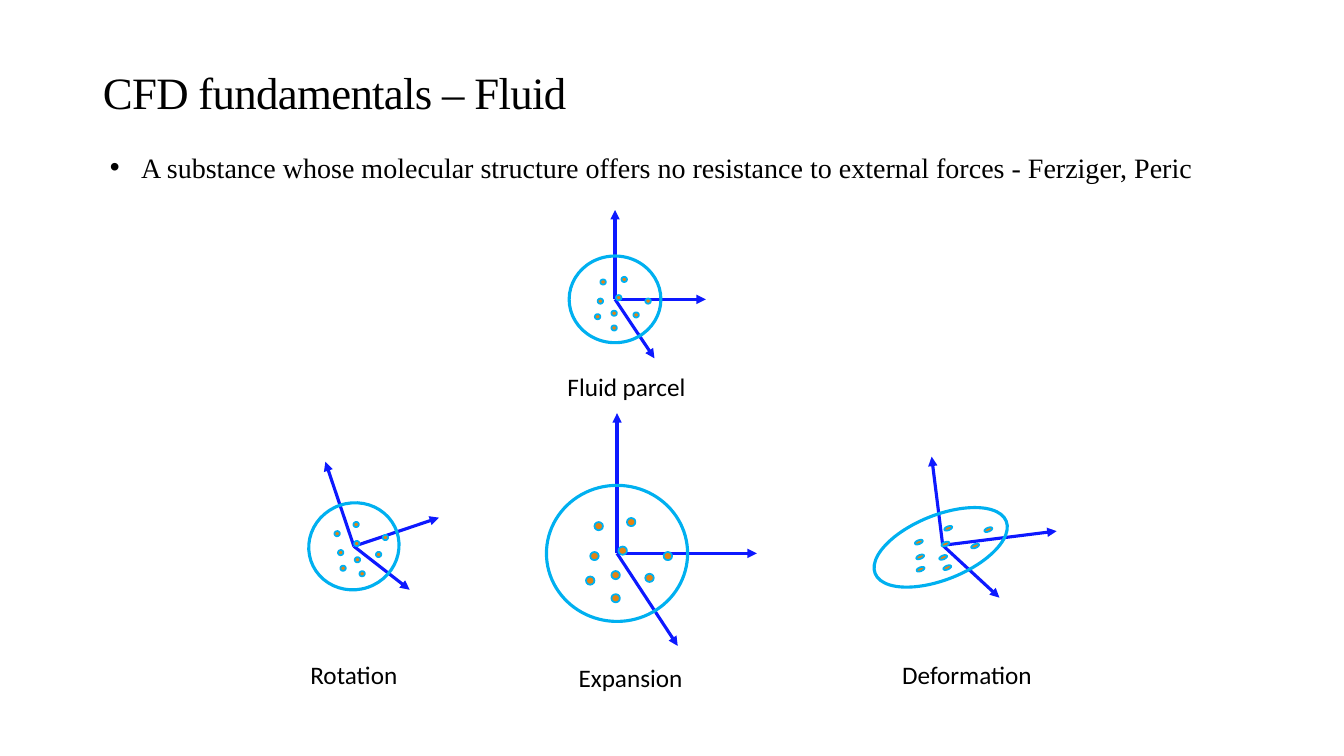
from dataclasses import dataclass
from math import cos, radians, sin

from lxml.etree import SubElement
from pptx import Presentation
from pptx.dml.color import RGBColor
from pptx.enum.shapes import MSO_CONNECTOR, MSO_SHAPE
from pptx.enum.text import MSO_ANCHOR, MSO_AUTO_SIZE, PP_ALIGN
from pptx.oxml.ns import qn
from pptx.util import Inches, Pt

BLACK = RGBColor(0x00, 0x00, 0x00)
AXIS_BLUE = RGBColor(0x0D, 0x19, 0xFF)
OUTLINE_BLUE = RGBColor(0x00, 0xB0, 0xF0)
MOLECULE_ORANGE = RGBColor(0xE4, 0x83, 0x12)

SERIF = "Times New Roman"
SANS = "Calibri"

# Offsets from the parcel centre, as shares of the parcel's width and height
AXIS_TIPS = [(0.99, 0), (0, -1.03), (0.43, 0.68)]
MOLECULES = [
    (-0.13, -0.20), (0.04, -0.02), (0.23, 0.18),
    (-0.19, 0.20), (-0.16, 0.02), (0.10, -0.23),
    (-0.01, 0.16), (0.36, 0.02), (-0.01, 0.33),
]
MOLECULE_SHARE = 0.06


@dataclass
class Frame:
    """A turned box: centre and size in inches, angle in degrees clockwise."""
    x: float
    y: float
    width: float
    height: float
    angle: float = 0

    def point(self, across, down):
        """Slide position of an offset given as shares of the frame's size."""
        turn = radians(self.angle)
        dx, dy = across * self.width, down * self.height
        return (self.x + dx * cos(turn) - dy * sin(turn),
                self.y + dx * sin(turn) + dy * cos(turn))


@dataclass
class Parcel:
    name: str
    label_box: tuple
    body: Frame
    axes: Frame


PARCELS = [
    Parcel("Fluid parcel", (5.53, 3.63, 1.39, 0.4),
           Frame(6.1, 2.97, 0.91, 0.86), Frame(6.1, 2.97, 0.91, 0.86)),
    Parcel("Rotation", (2.98, 6.49, 1.07, 0.4),
           Frame(3.51, 5.42, 0.9, 0.86, -18.6), Frame(3.51, 5.42, 0.9, 0.86, -18.6)),
    Parcel("Expansion", (5.64, 6.52, 1.24, 0.4),
           Frame(6.12, 5.49, 1.4, 1.35), Frame(6.12, 5.49, 1.4, 1.35)),
    Parcel("Deformation", (8.85, 6.49, 1.5, 0.4),
           Frame(9.33, 5.43, 1.4, 0.64, -21.8), Frame(9.35, 5.41, 1.15, 0.86, -7.1)),
]


def place(shape, box):
    shape.left, shape.top, shape.width, shape.height = map(Inches, box)


def style_run(paragraph, size, font_name):
    font = paragraph.runs[0].font
    font.size = Pt(size)
    font.name = font_name
    font.color.rgb = BLACK
    return font


def add_title(slide, box, text):
    title = slide.shapes.title
    place(title, box)
    frame = title.text_frame
    frame.text = text
    frame.auto_size = MSO_AUTO_SIZE.NONE
    frame.vertical_anchor = MSO_ANCHOR.BOTTOM
    paragraph = frame.paragraphs[0]
    paragraph.alignment = PP_ALIGN.LEFT
    paragraph.line_spacing = 0.85
    style_run(paragraph, 32, SERIF)
    paragraph.runs[0].font._element.set("spc", "-50")


def add_definition(slide, box, text):
    body = slide.placeholders[1]
    place(body, box)
    frame = body.text_frame
    frame.text = text
    frame.auto_size = MSO_AUTO_SIZE.NONE
    paragraph = frame.paragraphs[0]
    paragraph.space_before = Pt(0)
    properties = paragraph._p.get_or_add_pPr()
    properties.set("marL", str(Inches(0.31)))
    properties.set("indent", str(-Inches(0.31)))
    SubElement(properties, qn("a:buFont")).set("typeface", "Arial")
    SubElement(properties, qn("a:buChar")).set("char", "•")
    style_run(paragraph, 20, SERIF)


def add_arrow(shapes, start, end):
    ends = map(Inches, (*start, *end))
    arrow = shapes.add_connector(MSO_CONNECTOR.STRAIGHT, *ends)
    arrow.line.color.rgb = AXIS_BLUE
    arrow.line.width = Pt(2.25)
    properties = arrow._element.spPr
    SubElement(properties.find(qn("a:ln")), qn("a:tailEnd")).set("type", "triangle")
    SubElement(properties, qn("a:effectLst"))


def add_ellipse(shapes, frame, line_width, fill=None):
    corner = frame.x - frame.width / 2, frame.y - frame.height / 2
    ellipse = shapes.add_shape(
        MSO_SHAPE.OVAL, *map(Inches, (*corner, frame.width, frame.height)))
    ellipse.rotation = frame.angle
    ellipse.shadow.inherit = False
    ellipse.line.color.rgb = OUTLINE_BLUE
    ellipse.line.width = Pt(line_width)
    if fill is None:
        ellipse.fill.background()
    else:
        ellipse.fill.solid()
        ellipse.fill.fore_color.rgb = fill


def add_label(slide, box, text):
    label = slide.shapes.add_textbox(*map(Inches, box))
    frame = label.text_frame
    frame.text = text
    frame.word_wrap = False
    frame.auto_size = MSO_AUTO_SIZE.SHAPE_TO_FIT_TEXT
    style_run(frame.paragraphs[0], 18, SANS)


def add_parcel(slide, parcel):
    """Draw the axes, outline and molecules as one group, with a label."""
    shapes = slide.shapes.add_group_shape().shapes
    axes, body = parcel.axes, parcel.body
    for tip in AXIS_TIPS:
        add_arrow(shapes, (axes.x, axes.y), axes.point(*tip))
    add_ellipse(shapes, body, 2.25)
    for offset in MOLECULES:
        molecule = Frame(*body.point(*offset), MOLECULE_SHARE * body.width,
                         MOLECULE_SHARE * body.height, body.angle)
        add_ellipse(shapes, molecule, 1.25, MOLECULE_ORANGE)
    add_label(slide, parcel.label_box, parcel.name)


def main():
    presentation = Presentation()
    presentation.slide_width = Inches(13.33)
    presentation.slide_height = Inches(7.5)
    slide = presentation.slides.add_slide(presentation.slide_layouts[1])
    add_title(slide, (0.92, 0.4, 11.5, 0.83), "CFD fundamentals – Fluid")
    add_definition(slide, (0.99, 1.44, 11.35, 0.44),
                   "A substance whose molecular structure offers no resistance "
                   "to external forces - Ferziger, Peric")
    for parcel in PARCELS:
        add_parcel(slide, parcel)
    presentation.save("out.pptx")


if __name__ == "__main__":
    main()
